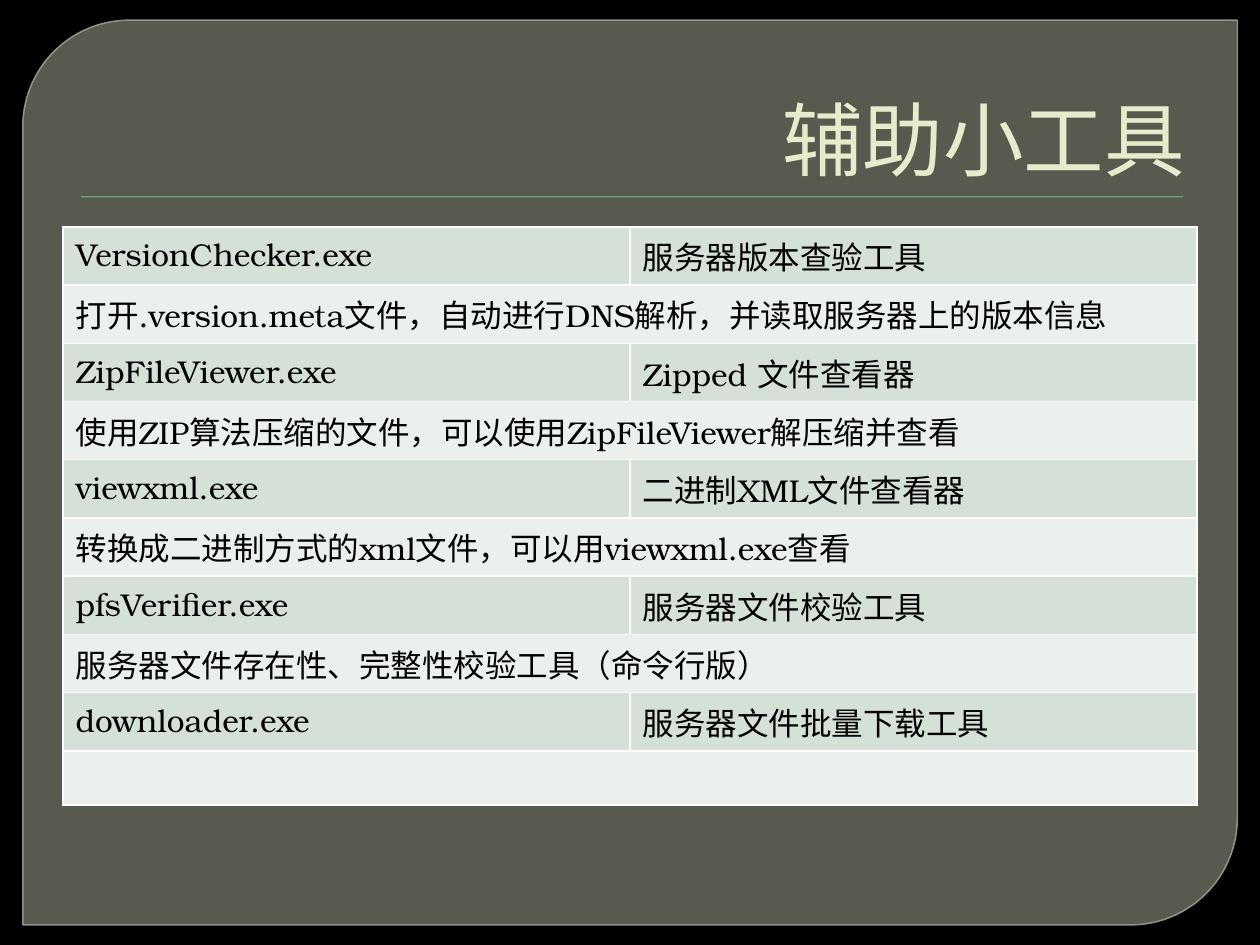
from dataclasses import dataclass

import lxml.etree
import pptx
import pptx.dml.color
import pptx.enum.shapes
import pptx.enum.text
import pptx.oxml
import pptx.oxml.ns
import pptx.util

Pt = pptx.util.Pt
RGBColor = pptx.dml.color.RGBColor
qn = pptx.oxml.ns.qn
SHAPES = pptx.enum.shapes.MSO_SHAPE

BLACK = RGBColor(0x00, 0x00, 0x00)
WHITE = RGBColor(0xFF, 0xFF, 0xFF)
PANEL = RGBColor(0x88, 0x8B, 0x7B)
PANEL_EDGE = RGBColor(0x9D, 0xA0, 0x90)
GREEN = RGBColor(0x72, 0xA3, 0x76)
CREAM = RGBColor(0xE7, 0xEA, 0xCB)
NAME_FILL = RGBColor(0xD5, 0xE0, 0xD6)
DETAIL_FILL = RGBColor(0xEB, 0xF0, 0xEC)

FONT = "TeX Gyre Bonum"
TITLE_FORMAT = {"name": FONT, "size": Pt(46)}
CELL_FORMAT = {"name": FONT, "size": Pt(18)}
TABLE_FLAGS = {"first_row": False, "horz_banding": False}
ROW_HEIGHT = 33.3
EMPTY_ROW_HEIGHT = 30.9
COLUMN_WIDTH = 324


@dataclass
class Tool:
    program: str
    purpose: str
    detail: str = ""


TOOLS = [
    Tool("VersionChecker.exe", "服务器版本查验工具",
         "打开.version.meta文件，自动进行DNS解析，并读取服务器上的版本信息"),
    Tool("ZipFileViewer.exe", "Zipped 文件查看器",
         "使用ZIP算法压缩的文件，可以使用ZipFileViewer解压缩并查看"),
    Tool("viewxml.exe", "二进制XML文件查看器",
         "转换成二进制方式的xml文件，可以用viewxml.exe查看"),
    Tool("pfsVerifier.exe", "服务器文件校验工具",
         "服务器文件存在性、完整性校验工具（命令行版）"),
    Tool("downloader.exe", "服务器文件批量下载工具"),
]


def set_format(target, values: dict) -> None:
    for attribute, value in values.items():
        setattr(target, attribute, value)


def set_alpha(fill, percent: int) -> None:
    """Make a solid fill partly transparent."""
    color = fill._xPr.find(qn("a:solidFill"))[0]
    lxml.etree.SubElement(color, qn("a:alpha")).set("val", str(percent * 1000))


def write_text(frame, text: str, font_format: dict, color: RGBColor) -> None:
    run = frame.paragraphs[0].add_run()
    run.text = text
    set_format(run.font, font_format)
    run.font.color.rgb = color


def add_border(cell) -> None:
    properties = cell._tc.get_or_add_tcPr()
    for index, side in enumerate(("lnL", "lnR", "lnT", "lnB")):
        border = pptx.oxml.parse_xml(
            f'<a:{side} xmlns:a="http://schemas.openxmlformats.org/drawingml/2006/main"'
            f' w="{Pt(1)}"><a:solidFill><a:srgbClr val="{WHITE}"/></a:solidFill></a:{side}>')
        properties.insert(index, border)


def fill_row(table, row: int, texts: list[str], color: RGBColor) -> None:
    """Fill one row; a single text spans both columns."""
    if len(texts) == 1:
        table.cell(row, 0).merge(table.cell(row, 1))
    for column in range(2):
        cell = table.cell(row, column)
        cell.fill.solid()
        cell.fill.fore_color.rgb = color
        add_border(cell)
    for column, text in enumerate(texts):
        if text:
            write_text(table.cell(row, column).text_frame, text, CELL_FORMAT, BLACK)


def add_panel(slide) -> None:
    panel = slide.shapes.add_shape(SHAPES.ROUND_2_DIAG_RECTANGLE,
                                   Pt(13), Pt(11.5), Pt(694), Pt(517))
    panel.adjustments[0] = 0.118
    panel.adjustments[1] = 0
    panel.shadow.inherit = False
    panel.fill.solid()
    panel.fill.fore_color.rgb = PANEL
    set_alpha(panel.fill, 65)
    panel.line.color.rgb = PANEL_EDGE
    panel.line.width = Pt(0.87)
    set_alpha(panel.line.fill, 88)


def add_title_rule(slide) -> None:
    rule = slide.shapes.add_shape(SHAPES.RECTANGLE, Pt(46.2), Pt(112.1), Pt(630), Pt(0.7))
    rule.shadow.inherit = False
    rule.fill.solid()
    rule.fill.fore_color.rgb = GREEN
    rule.line.fill.background()
    # Soft shadow just below the rule
    effects = rule._element.spPr.find(qn("a:effectLst"))
    shadow = lxml.etree.SubElement(effects, qn("a:outerShdw"), blurRad=str(Pt(1)),
                                   dist=str(Pt(1)), dir="5400000")
    color = lxml.etree.SubElement(shadow, qn("a:srgbClr"), val=str(BLACK))
    lxml.etree.SubElement(color, qn("a:alpha"), val="75000")


def add_title(slide) -> None:
    title = slide.shapes.add_textbox(Pt(36), Pt(20), Pt(648), Pt(90)).text_frame
    set_format(title, {"word_wrap": True,
                       "vertical_anchor": pptx.enum.text.MSO_ANCHOR.BOTTOM})
    title.paragraphs[0].alignment = pptx.enum.text.PP_ALIGN.RIGHT
    write_text(title, "辅助小工具", TITLE_FORMAT, CREAM)


def add_tool_table(slide) -> None:
    rows = 2 * len(TOOLS)
    table = slide.shapes.add_table(rows, 2, Pt(36), Pt(129.6), Pt(2 * COLUMN_WIDTH),
                                   Pt(rows * ROW_HEIGHT)).table
    set_format(table, TABLE_FLAGS)
    for column in table.columns:
        column.width = Pt(COLUMN_WIDTH)
    for index, tool in enumerate(TOOLS):
        fill_row(table, 2 * index, [tool.program, tool.purpose], NAME_FILL)
        fill_row(table, 2 * index + 1, [tool.detail], DETAIL_FILL)
        table.rows[2 * index].height = Pt(ROW_HEIGHT)
        table.rows[2 * index + 1].height = Pt(ROW_HEIGHT if tool.detail else EMPTY_ROW_HEIGHT)


def main() -> None:
    deck = pptx.Presentation()
    set_format(deck, {"slide_width": Pt(720), "slide_height": Pt(540)})
    slide = deck.slides.add_slide(deck.slide_layouts[6])

    # Backdrop
    slide.background.fill.solid()
    slide.background.fill.fore_color.rgb = BLACK
    add_panel(slide)
    add_title_rule(slide)

    # Content
    add_title(slide)
    add_tool_table(slide)
    deck.save("out.pptx")


if __name__ == "__main__":
    main()
